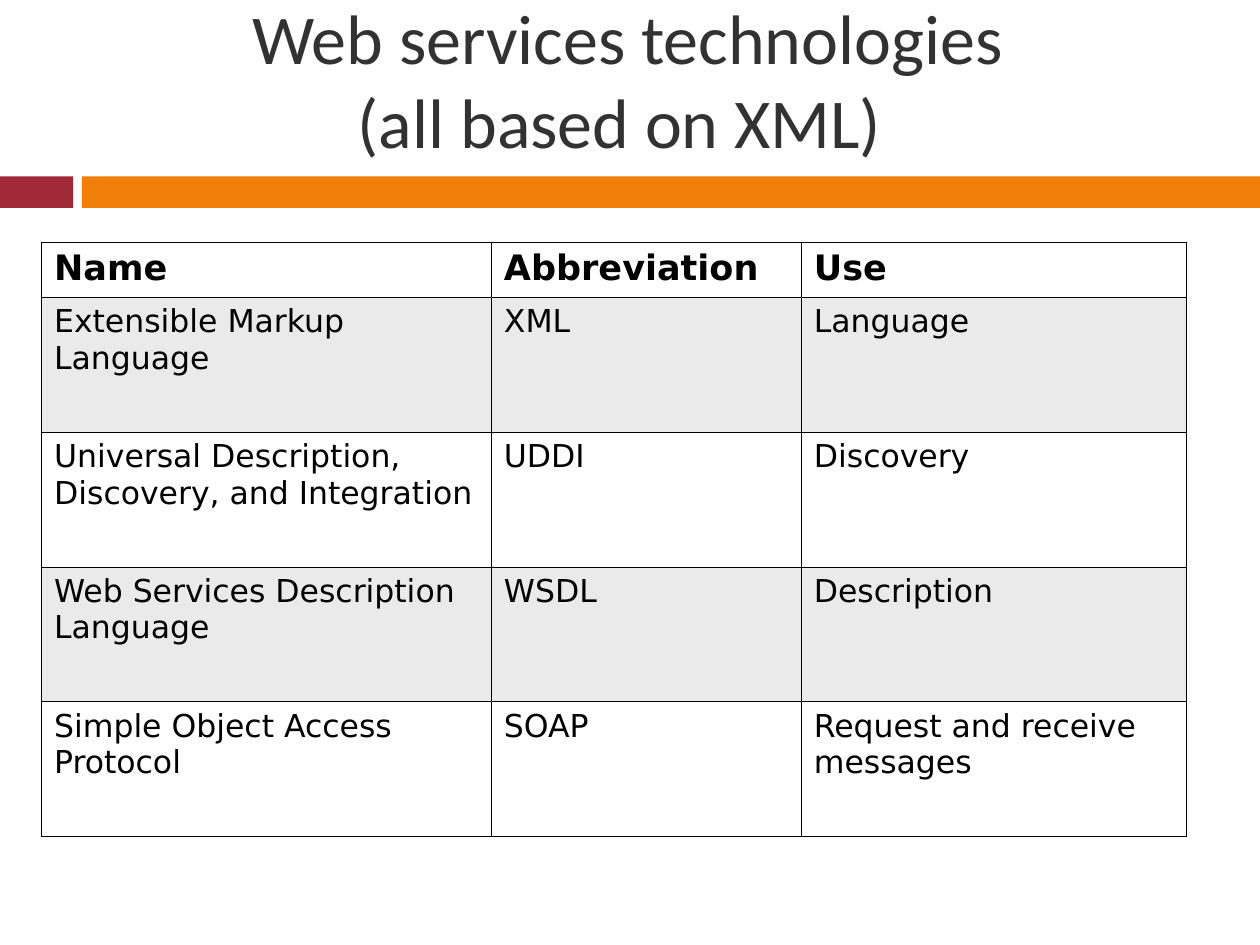
import pptx
import pptx.dml.color
import pptx.enum.shapes
import pptx.enum.text
import pptx.oxml.ns
import pptx.util
from lxml import etree

Inches = pptx.util.Inches
Pt = pptx.util.Pt
RGBColor = pptx.dml.color.RGBColor

RED = RGBColor(0x9F, 0x29, 0x36)
ORANGE = RGBColor(0xF0, 0x7F, 0x09)
TITLE_GRAY = RGBColor(0x32, 0x32, 0x32)
BAND_GRAY = RGBColor(0xEA, 0xEA, 0xEA)
BLACK = RGBColor(0, 0, 0)

COLUMN_WIDTHS = [3.57, 2.46, 3.06]
ROW_HEIGHTS = [0.44] + [1.07] * 4
TECHNOLOGIES = [
    ("Name", "Abbreviation", "Use"),
    ("Extensible Markup Language", "XML", "Language"),
    ("Universal Description, Discovery, and Integration", "UDDI", "Discovery"),
    ("Web Services Description Language", "WSDL", "Description"),
    ("Simple Object Access Protocol", "SOAP", "Request and receive messages"),
]


def add_cell_borders(cell, color, width):
    properties = cell._tc.get_or_add_tcPr()
    for side in ("a:lnL", "a:lnR", "a:lnT", "a:lnB"):
        line = etree.SubElement(properties, pptx.oxml.ns.qn(side), w=str(width))
        fill = etree.SubElement(line, pptx.oxml.ns.qn("a:solidFill"))
        etree.SubElement(fill, pptx.oxml.ns.qn("a:srgbClr"), val=str(color))


presentation = pptx.Presentation()
presentation.slide_width = Inches(10)
presentation.slide_height = Inches(7.5)
slide = presentation.slides.add_slide(presentation.slide_layouts[5])

# Divider bars below the title
for left, width, color in [(0, 0.58, RED), (0.65, 9.35, ORANGE)]:
    bar = slide.shapes.add_shape(
        pptx.enum.shapes.MSO_SHAPE.RECTANGLE,
        Inches(left), Inches(1.4), Inches(width), Inches(0.25))
    bar.shadow.inherit = False
    bar.fill.solid()
    bar.fill.fore_color.rgb = color
    bar.line.fill.background()

# Title
title = slide.shapes.title
title.left, title.top = Inches(0.72), Inches(0)
title.width, title.height = Inches(8.52), Inches(1.25)
title_frame = title.text_frame
title_frame.text = "Web services technologies\v(all based on XML) "
title_frame.word_wrap = True
title_frame.auto_size = pptx.enum.text.MSO_AUTO_SIZE.NONE
title_frame.vertical_anchor = pptx.enum.text.MSO_ANCHOR.MIDDLE
paragraph = title_frame.paragraphs[0]
paragraph.alignment = pptx.enum.text.PP_ALIGN.CENTER
paragraph.font.name = "Calibri"
paragraph.font.size = Pt(40)
paragraph.font.color.rgb = TITLE_GRAY

# Technology table
table = slide.shapes.add_table(
    len(ROW_HEIGHTS), len(COLUMN_WIDTHS), Inches(0.33), Inches(1.92),
    Inches(sum(COLUMN_WIDTHS)), Inches(sum(ROW_HEIGHTS))).table
table.horz_banding = False
for column, width in zip(table.columns, COLUMN_WIDTHS):
    column.width = Inches(width)
for row, height in zip(table.rows, ROW_HEIGHTS):
    row.height = Inches(height)

for row_index, texts in enumerate(TECHNOLOGIES):
    is_header = row_index == 0
    for column_index, text in enumerate(texts):
        cell = table.cell(row_index, column_index)
        add_cell_borders(cell, BLACK, Pt(0.45))
        if row_index % 2:
            cell.fill.solid()
            cell.fill.fore_color.rgb = BAND_GRAY
        else:
            cell.fill.background()
        cell.text = text
        paragraph = cell.text_frame.paragraphs[0]
        paragraph.font.name = "DejaVu Sans"
        paragraph.font.size = Pt(20 if is_header else 18)
        paragraph.font.bold = is_header
        paragraph.font.color.rgb = BLACK

presentation.save("out.pptx")
